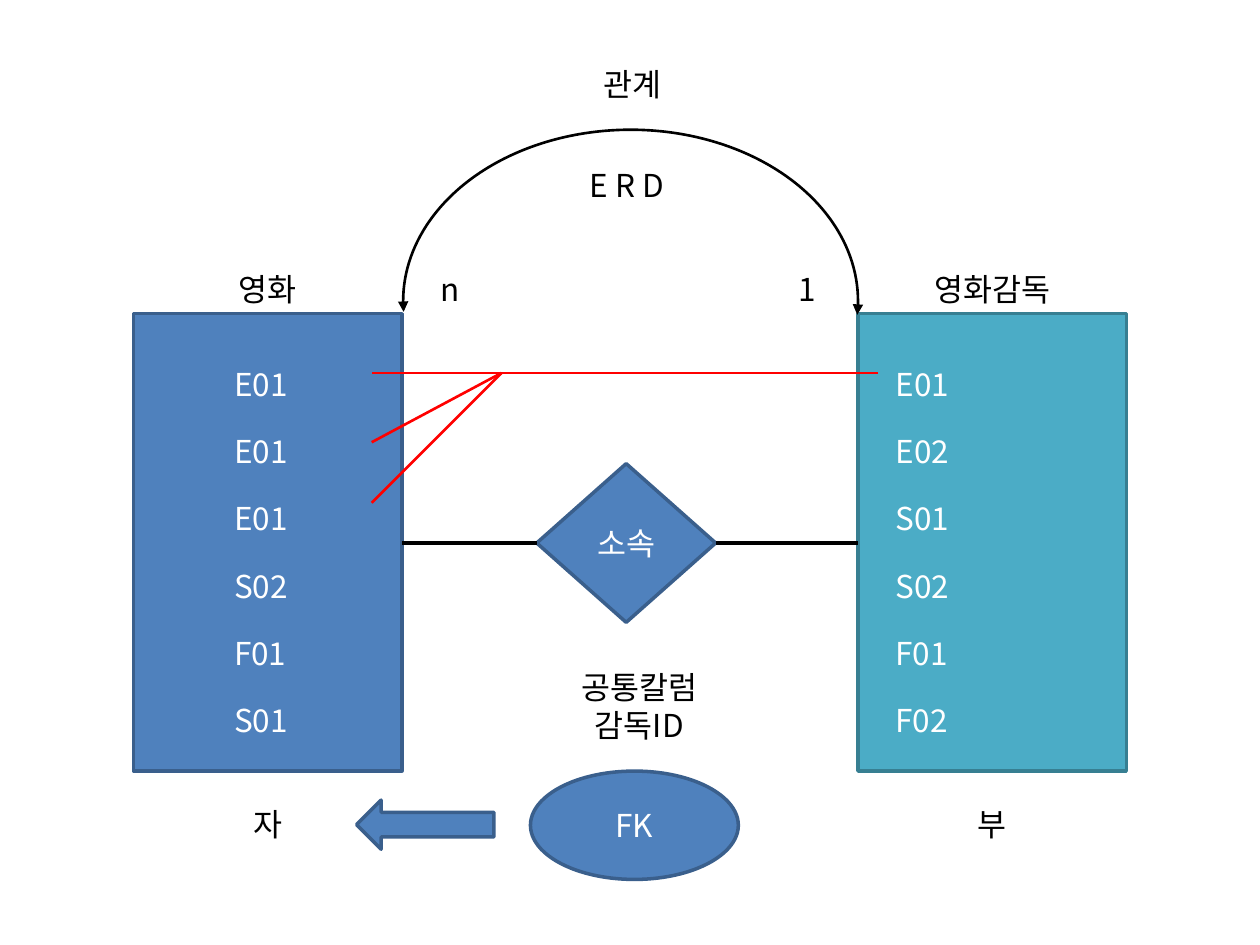
import pptx
import pptx.util
import pptx.dml.color
import pptx.enum.shapes
import pptx.enum.text
import pptx.oxml.ns
from lxml import etree

Inches, Pt = pptx.util.Inches, pptx.util.Pt
RGB = pptx.dml.color.RGBColor
KIND = pptx.enum.shapes.MSO_SHAPE
ALIGN = pptx.enum.text.PP_ALIGN
ANCHOR = pptx.enum.text.MSO_ANCHOR
FIT = pptx.enum.text.MSO_AUTO_SIZE
qn = pptx.oxml.ns.qn

BLACK, WHITE, RED = RGB(0, 0, 0), RGB(255, 255, 255), RGB(255, 0, 0)
BLUE, NAVY = RGB(0x4F, 0x81, 0xBD), RGB(0x3A, 0x5F, 0x8C)
AQUA, TEAL = RGB(0x4B, 0xAC, 0xC6), RGB(0x37, 0x7F, 0x92)
FONT = "Noto Sans CJK KR"

# Entity boxes: left, fill, edge, tab stop, title, role, role width, keys
TOP, WIDE, TALL = 2.49, 2.13, 3.63
ROW, FOOT = 2.09, 6.34
TABLES = [
    (1.06, BLUE, NAVY, 1.27, "영화", "자",
     ["E01", "E01", "E01", "S02", "F01", "S01"]),
    (6.81, AQUA, TEAL, None, "영화감독", "부",
     ["E01", "E02", "S01", "S02", "F01", "F02"]),
]
# Blue shapes: kind, place, text
NODES = [
    (KIND.FLOWCHART_DECISION, (4.26, 3.68, 1.42, 1.26), "소속"),
    (KIND.OVAL, (4.21, 6.12, 1.65, 0.86), "FK"),
    (KIND.LEFT_ARROW, (2.83, 6.35, 1.09, 0.39), None),
]
# Labels without wrapping: place, text
LABELS = [
    ((3.4, ROW, 0.35, 0.4), "n"),
    ((6.24, ROW, 0.35, 0.4), "1"),
    ((4.69, 0.47, 0.71, 0.4), "관계"),
    ((4.58, 1.27, 0.85, 0.4), "E R D"),
]
COMMON = ["공통칼럼", "감독ID"]
MID, KEY, FORK, END = 4.31, 2.96, 3.98, 2.95
LINKS = [
    ((4.26, MID), (3.19, MID), BLACK, 2.25),
    ((5.68, MID), (6.81, MID), BLACK, 2.25),
    ((6.97, KEY), (END, KEY), RED, 1.5),
    ((FORK, KEY), (END, 3.51), RED, 1.5),
    ((FORK, KEY), (END, 3.99), RED, 1.5),
]
ARC = (3.2, 1.03, 3.61, 2.72)

deck = pptx.Presentation()
deck.slide_width, deck.slide_height = Inches(10), Inches(7.5)
slide = deck.slides.add_slide(deck.slide_layouts[6])
shapes = slide.shapes


def write(frame, lines, color=BLACK, align=ALIGN.CENTER, keys=False, tab=None):
    """Fill a text frame with one paragraph per line."""
    for i, line in enumerate(lines):
        para = frame.paragraphs[0] if i == 0 else frame.add_paragraph()
        para.alignment = align
        run = para.add_run()
        run.text = "\t" + line if tab else line
        run.font.size, run.font.name = Pt(18), FONT
        run.font.color.rgb = color
        etree.SubElement(run.font._element, qn("a:ea"), typeface=FONT)
        if keys:
            para.line_spacing, para.space_after = 1.5, Pt(6)
            props = para._p.get_or_add_pPr()
            props.set("marL", str(Inches(0.2)))
            props.set("indent", "0")
            if tab:
                stops = etree.SubElement(props, qn("a:tabLst"))
                etree.SubElement(stops, qn("a:tab"), pos=str(Inches(tab)), algn="l")


def block(kind, place, fill, edge, width=2):
    """Add a preset shape, unfilled when fill is None."""
    shape = shapes.add_shape(kind, *map(Inches, place))
    shape.shadow.inherit = False
    if fill is None:
        shape.fill.background()
    else:
        shape.fill.solid()
        shape.fill.fore_color.rgb = fill
    shape.line.color.rgb, shape.line.width = edge, Pt(width)
    shape.text_frame.vertical_anchor = ANCHOR.MIDDLE
    return shape


def label(place, lines, wrap=True):
    """Add a text box, centred when it wraps."""
    frame = shapes.add_textbox(*map(Inches, place)).text_frame
    frame.word_wrap, frame.auto_size = wrap, FIT.SHAPE_TO_FIT_TEXT
    write(frame, lines, align=ALIGN.CENTER if wrap else ALIGN.LEFT)


def link(start, end, color, width):
    """Add a straight line without a shadow."""
    line = shapes.add_connector(pptx.enum.shapes.MSO_CONNECTOR.STRAIGHT,
                                *map(Inches, start + end))
    line.line.color.rgb, line.line.width = color, Pt(width)
    etree.SubElement(line._element.spPr, qn("a:effectLst"))


for left, fill, edge, tab, title, role, keys in TABLES:
    box = block(KIND.RECTANGLE, (left, TOP, WIDE, TALL), fill, edge)
    write(box.text_frame, keys, color=WHITE, align=ALIGN.LEFT, keys=True, tab=tab)
    for text, top, wide in ((title, ROW, 1.5), (role, FOOT, 1.42)):
        label((left + (WIDE - wide) / 2, top, wide, 0.4), [text])

for kind, place, text in NODES:
    node = block(kind, place, BLUE, NAVY)
    if text:
        write(node.text_frame, [text], color=WHITE)

for item in LINKS:
    link(*item)

label((4.21, 5.25, 1.73, 0.71), COMMON)
for place, text in LABELS:
    label(place, [text], wrap=False)

arc = block(KIND.ARC, ARC, None, BLACK, 1.5)
arc.adjustments[0], arc.adjustments[1] = 106.377, 2.073
for end in ("a:headEnd", "a:tailEnd"):
    etree.SubElement(arc.line._get_or_add_ln(), qn(end), type="triangle")

deck.save("out.pptx")
